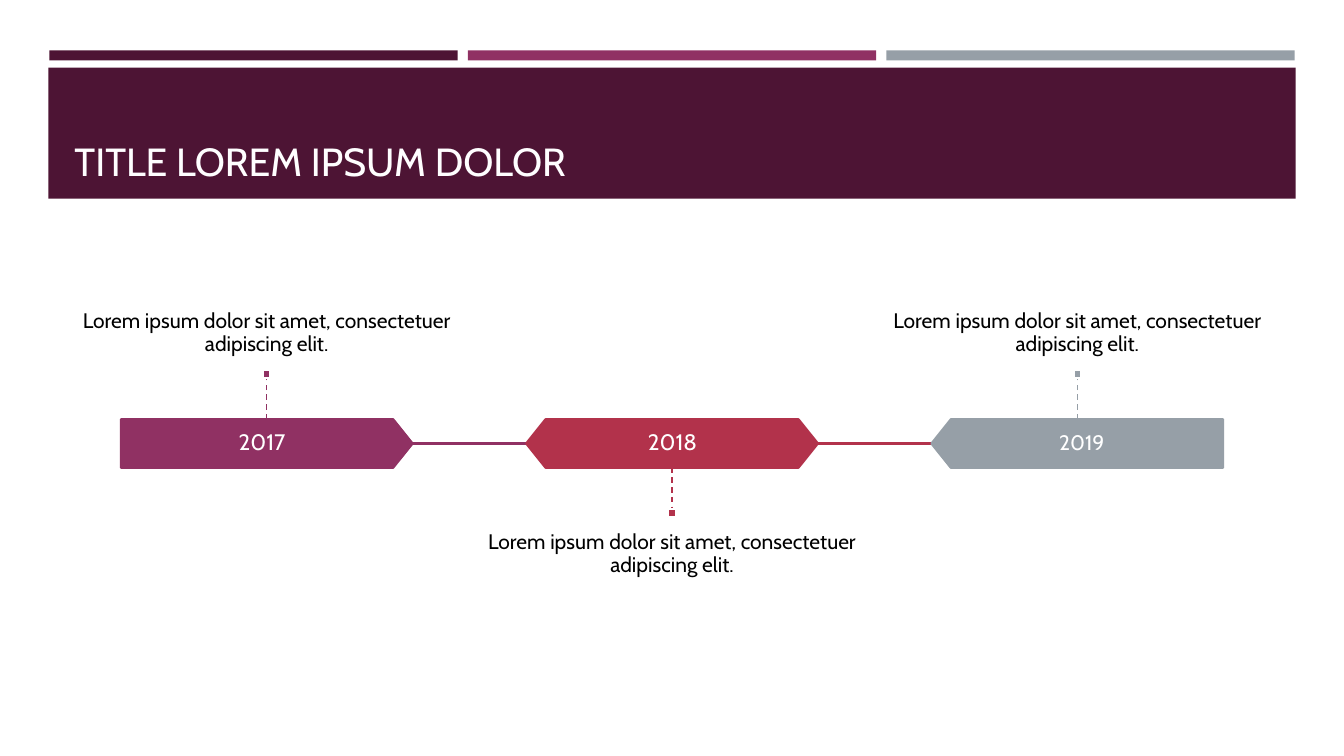
"""Build a title slide with a three-stage timeline."""
from dataclasses import dataclass

from lxml import etree
from pptx import Presentation
from pptx.dml.color import RGBColor
from pptx.enum.dml import MSO_LINE
from pptx.enum.shapes import MSO_CONNECTOR, MSO_SHAPE
from pptx.enum.text import MSO_ANCHOR, PP_ALIGN
from pptx.oxml.ns import qn
from pptx.shapes.autoshape import Shape
from pptx.shapes.connector import Connector
from pptx.slide import Slide
from pptx.util import Inches, Pt

RECTANGLE, PENTAGON, HEXAGON = MSO_SHAPE.RECTANGLE, MSO_SHAPE.PENTAGON, MSO_SHAPE.HEXAGON
STRAIGHT = MSO_CONNECTOR.STRAIGHT
DASH = MSO_LINE.DASH
TOP, MIDDLE, BOTTOM = MSO_ANCHOR.TOP, MSO_ANCHOR.MIDDLE, MSO_ANCHOR.BOTTOM
LEFT, CENTER = PP_ALIGN.LEFT, PP_ALIGN.CENTER

FONT = "Cabin"
COLORS = {
    "dark": "4D1434",
    "plum": "903163",
    "red": "B2324B",
    "gray": "969FA7",
    "title": "FFFEFF",
    "white": "FFFFFF",
    "black": "000000",
}
NOTE = "Lorem ipsum dolor sit amet, consectetuer adipiscing elit."

BAR_LEFT, BAR_STEP = 0.49, 4.15
STAGE_LEFT, STAGE_STEP = 1.2, 4.02
STAGE_TOP, STAGE_WIDTH, STAGE_HEIGHT = 4.16, 2.89, 0.48
STEM_LENGTH, MARKER_SIZE = 0.41, 0.08
LABEL_WIDTH = 2.8
NOTE_WIDTH, NOTE_HEIGHT = 4.02, 1.29


@dataclass(frozen=True)
class Box:
    left: float
    top: float
    width: float
    height: float


@dataclass(frozen=True)
class TextStyle:
    size: float
    color: str
    align: PP_ALIGN
    anchor: MSO_ANCHOR
    inset_x: float
    inset_y: float
    line_spacing: float = 0.9


@dataclass(frozen=True)
class Stage:
    year: str
    color: str
    outline: MSO_SHAPE
    rotation: float
    label_shift: float
    label_size: float
    note_above: bool


STAGES = (
    Stage("2017", "plum", PENTAGON, 0, 0, 16, True),
    Stage("2018", "red", HEXAGON, 0, 0.05, 16, False),
    Stage("2019", "gray", PENTAGON, 180, 0.09, 15, True),
)


def rgb(name: str) -> RGBColor:
    return RGBColor.from_string(COLORS[name])


def add_block(slide: Slide, outline: MSO_SHAPE, box: Box, fill: str, line: str = "") -> Shape:
    shape = slide.shapes.add_shape(
        outline, Inches(box.left), Inches(box.top), Inches(box.width), Inches(box.height)
    )
    shape.shadow.inherit = False
    shape.fill.solid()
    shape.fill.fore_color.rgb = rgb(fill)
    if line:
        shape.line.color.rgb = rgb(line)
        shape.line.width = Pt(1.75)
    else:
        shape.line.fill.background()
    return shape


def add_line(
    slide: Slide, start: tuple[float, float], end: tuple[float, float], color: str, width: float
) -> Connector:
    connector = slide.shapes.add_connector(
        STRAIGHT, Inches(start[0]), Inches(start[1]), Inches(end[0]), Inches(end[1])
    )
    connector.line.color.rgb = rgb(color)
    connector.line.width = Pt(width)
    properties = connector.element.find(qn("p:spPr"))
    etree.SubElement(properties, qn("a:effectLst"))
    return connector


def add_text(slide: Slide, text: str, box: Box, style: TextStyle) -> None:
    text_box = slide.shapes.add_textbox(
        Inches(box.left), Inches(box.top), Inches(box.width), Inches(box.height)
    )
    frame = text_box.text_frame
    frame.word_wrap = True
    frame.vertical_anchor = style.anchor
    frame.margin_left = frame.margin_right = Inches(style.inset_x)
    frame.margin_top = frame.margin_bottom = Inches(style.inset_y)
    paragraph = frame.paragraphs[0]
    paragraph.text = text
    paragraph.alignment = style.align
    paragraph.line_spacing = style.line_spacing
    paragraph.font.name = FONT
    paragraph.font.size = Pt(style.size)
    paragraph.font.color.rgb = rgb(style.color)


def add_header(slide: Slide) -> None:
    for index, color in enumerate(("dark", "plum", "gray")):
        add_block(slide, RECTANGLE, Box(BAR_LEFT + index * BAR_STEP, 0.5, 4.05, 0.1), color)
    add_block(slide, RECTANGLE, Box(0.48, 0.67, 12.37, 1.3), "dark")
    title_style = TextStyle(28, "title", LEFT, BOTTOM, 0.1, 0.05)
    add_text(slide, "TITLE LOREM IPSUM DOLOR", Box(0.64, 0.77, 12.06, 1.11), title_style)


def add_stage(slide: Slide, stage: Stage, left: float) -> None:
    center = left + STAGE_WIDTH / 2
    stage_bottom = STAGE_TOP + STAGE_HEIGHT
    body = Box(left, STAGE_TOP, STAGE_WIDTH, STAGE_HEIGHT)
    shape = add_block(slide, stage.outline, body, stage.color, stage.color)
    shape.adjustments[0] = 0.4
    shape.rotation = stage.rotation
    add_text(
        slide,
        stage.year,
        Box(left + stage.label_shift, STAGE_TOP, LABEL_WIDTH, STAGE_HEIGHT),
        TextStyle(stage.label_size, "white", CENTER, MIDDLE, 0.13, 0.13),
    )

    if stage.note_above:
        stem_start, stem_end = STAGE_TOP, STAGE_TOP - STEM_LENGTH
        marker_top, marker_site = stem_end - MARKER_SIZE, 2
        note_top, note_anchor = 2.39, BOTTOM
    else:
        stem_start, stem_end = stage_bottom, stage_bottom + STEM_LENGTH
        marker_top, marker_site = stem_end, 0
        note_top, note_anchor = 5.12, TOP

    stem = add_line(slide, (center, stem_start), (center, stem_end), stage.color, 1)
    stem.line.dash_style = DASH
    marker_box = Box(center - MARKER_SIZE / 2, marker_top, MARKER_SIZE, MARKER_SIZE)
    marker = add_block(slide, RECTANGLE, marker_box, stage.color, "white")
    stem.end_connect(marker, marker_site)
    add_text(
        slide,
        NOTE,
        Box(center - NOTE_WIDTH / 2, note_top, NOTE_WIDTH, NOTE_HEIGHT),
        TextStyle(15, "black", CENTER, note_anchor, 0, 0.15),
    )


def add_timeline(slide: Slide) -> None:
    middle = STAGE_TOP + STAGE_HEIGHT / 2
    for index, stage in enumerate(STAGES):
        left = STAGE_LEFT + index * STAGE_STEP
        add_stage(slide, stage, left)
        if index < len(STAGES) - 1:
            start, end = (left + STAGE_WIDTH, middle), (left + STAGE_STEP, middle)
            add_line(slide, start, end, stage.color, 1.75)


def main() -> None:
    presentation = Presentation()
    presentation.slide_width = Inches(13.33)
    presentation.slide_height = Inches(7.5)
    slide = presentation.slides.add_slide(presentation.slide_layouts[6])
    add_header(slide)
    add_timeline(slide)
    presentation.save("out.pptx")


if __name__ == "__main__":
    main()
